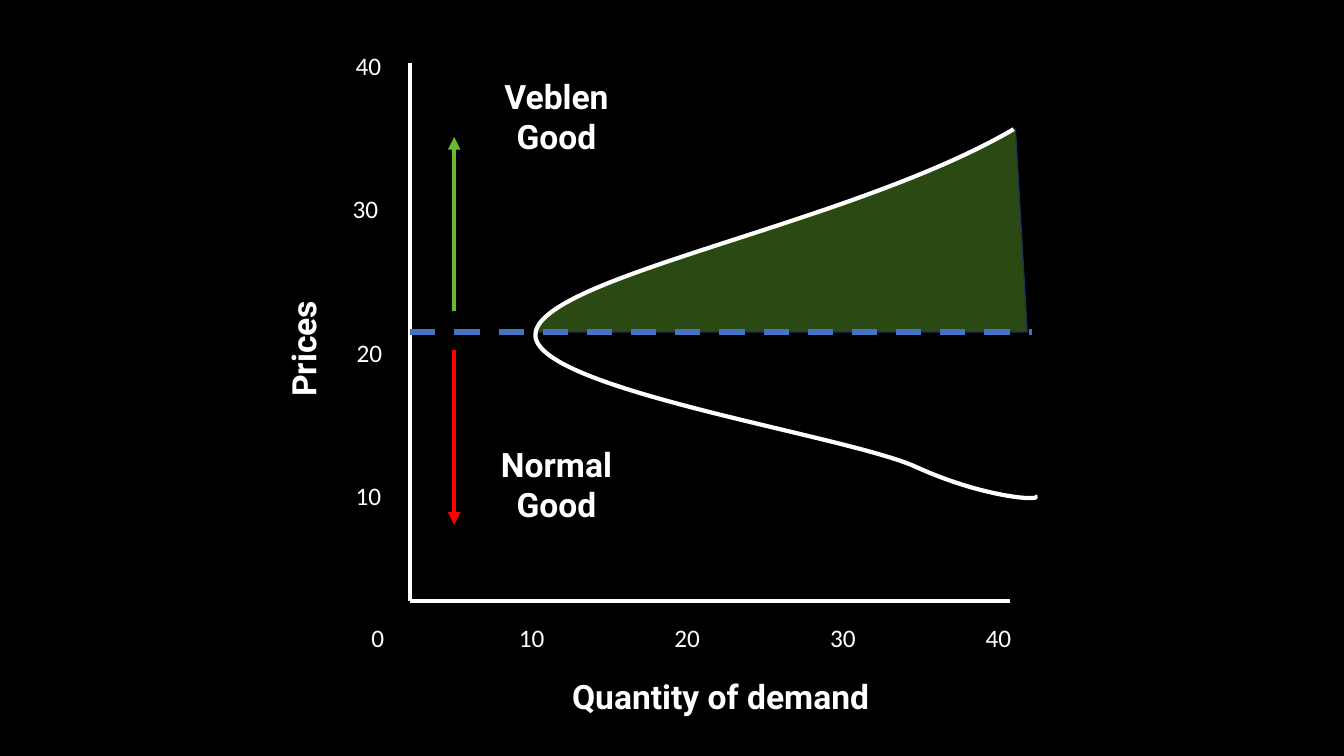
from math import cos, radians, sin

from lxml import etree
from pptx import Presentation
from pptx.dml.color import RGBColor
from pptx.enum.dml import MSO_LINE
from pptx.enum.shapes import MSO_CONNECTOR
from pptx.enum.text import MSO_AUTO_SIZE, PP_ALIGN
from pptx.oxml.ns import qn
from pptx.util import Pt

STRAIGHT = MSO_CONNECTOR.STRAIGHT
DASH = MSO_LINE.DASH
CENTER, LEFT = PP_ALIGN.CENTER, PP_ALIGN.LEFT
GROW = MSO_AUTO_SIZE.SHAPE_TO_FIT_TEXT

BLACK = RGBColor(0x00, 0x00, 0x00)
WHITE = RGBColor(0xFF, 0xFF, 0xFF)
GREEN = RGBColor(0x6C, 0xB9, 0x30)
RED = RGBColor(0xFF, 0x00, 0x00)
BLUE = RGBColor(0x44, 0x72, 0xC4)
NAVY = RGBColor(0x1E, 0x32, 0x56)

AXIS_X, AXIS_TOP, AXIS_BOTTOM, AXIS_RIGHT = 293, 45, 429.1, 721.4
TURN_PRICE_Y = 237.1
ARROW_X = 324.4
CURVE_CENTER, CURVE_TILT = (576.4, 200.9), 8.6

# Each segment is one point for a straight edge or three for a Bezier curve.
AREA_START = (725.3, 92.2)
AREA_SEGMENTS = [
    [(733.7, TURN_PRICE_Y)],
    [(383.8, TURN_PRICE_Y)],
    [(383.8, 236.2)],
    [(395.3, 195.8), (610.6, 159.1), AREA_START],
]
CURVE_START = (724.3, 92.2)
CURVE_SEGMENTS = [
    [(609.8, 159.1), (394.6, 195.8), (383, 236.2)],
    [(371.5, 276.5), (604.1, 310.3), (654.5, 333.4)],
    [(704.9, 356.4), (746.6, 357.8), (739.4, 354.2)],
]


def untilt(point):
    """Turn a point back by the tilt of the demand curve."""
    (center_x, center_y), angle = CURVE_CENTER, radians(CURVE_TILT)
    dx, dy = point[0] - center_x, point[1] - center_y
    return (center_x + dx * cos(angle) + dy * sin(angle),
            center_y - dx * sin(angle) + dy * cos(angle))


def add_outline(slide, start, segments, line_color, line_width, close=False):
    builder = slide.shapes.build_freeform(Pt(start[0]), Pt(start[1]))
    builder.add_line_segments([(Pt(x), Pt(y)) for x, y in (s[-1] for s in segments)],
                              close=close)
    outline = builder.convert_to_shape()
    edges = list(outline._element.iter(qn("a:lnTo")))
    for edge, segment in zip(edges, segments):
        if len(segment) == 3:
            edge.addprevious(bezier_edge(segment, outline))
            edge.getparent().remove(edge)
    outline.shadow.inherit = False
    outline.fill.background()
    outline.line.color.rgb = line_color
    outline.line.width = Pt(line_width)
    return outline


def bezier_edge(controls, outline):
    edge = etree.Element(qn("a:cubicBezTo"))
    for x, y in controls:
        point = etree.SubElement(edge, qn("a:pt"))
        point.set("x", str(Pt(x) - outline.left))
        point.set("y", str(Pt(y) - outline.top))
    return edge


def fill_translucent(shape, color, percent):
    shape.fill.solid()
    shape.fill.fore_color.rgb = color
    solid = shape._element.spPr.find(qn("a:solidFill"))
    alpha = etree.SubElement(solid[0], qn("a:alpha"))
    alpha.set("val", str(percent * 1000))


def add_line(slide, start, end, color, width=3, dash=None, arrow=False):
    line = slide.shapes.add_connector(STRAIGHT, *map(Pt, start + end))
    line.line.color.rgb = color
    line.line.width = Pt(width)
    if dash:
        line.line.dash_style = dash
    properties = line._element.spPr
    if arrow:
        head = etree.SubElement(properties.find(qn("a:ln")), qn("a:tailEnd"))
        head.set("type", "triangle")
    etree.SubElement(properties, qn("a:effectLst"))


def add_label(slide, text, left, top, width, height, size=24, font="Roboto",
              bold=True, wrap=True, align=CENTER, rotation=0):
    label = slide.shapes.add_textbox(*map(Pt, (left, top, width, height)))
    label.rotation = rotation
    frame = label.text_frame
    frame.word_wrap = wrap
    frame.auto_size = GROW
    frame.text = text
    paragraph = frame.paragraphs[0]
    paragraph.alignment = align
    run_font = paragraph.runs[0].font
    run_font.name = font
    run_font.size = Pt(size)
    run_font.bold = bold
    run_font.color.rgb = WHITE


def add_tick(slide, value, left, top, width=40.3):
    add_label(slide, str(value), left, top, width, 35.3, size=18,
              font="Calibri", bold=False, wrap=False, align=LEFT)


def main():
    deck = Presentation()
    deck.slide_width, deck.slide_height = Pt(960), Pt(540)
    slide = deck.slides.add_slide(deck.slide_layouts[6])
    slide.background.fill.solid()
    slide.background.fill.fore_color.rgb = BLACK

    veblen_area = add_outline(slide, AREA_START, AREA_SEGMENTS, NAVY, 1, close=True)
    fill_translucent(veblen_area, GREEN, 40)

    add_line(slide, (AXIS_X, AXIS_TOP), (AXIS_X, AXIS_BOTTOM), WHITE)
    add_line(slide, (AXIS_X, AXIS_BOTTOM), (AXIS_RIGHT, AXIS_BOTTOM), WHITE)
    level_segments = [[untilt(point) for point in segment] for segment in CURVE_SEGMENTS]
    demand_curve = add_outline(slide, untilt(CURVE_START), level_segments, WHITE, 3)
    demand_curve.rotation = CURVE_TILT

    add_tick(slide, 0, 258.2, 441, width=28.8)
    for index in range(4):
        add_tick(slide, (index + 1) * 10, 363.6 + index * 111.1, 441)
    add_tick(slide, 10, 247, 339.4)
    add_line(slide, (AXIS_X, TURN_PRICE_Y), (737.3, TURN_PRICE_Y), BLUE, 4.5, dash=DASH)
    for index, left in enumerate((247.7, 244.8, 247)):
        add_tick(slide, (index + 2) * 10, left, 237.1 - index * 102.3)

    add_line(slide, (ARROW_X, 222.3), (ARROW_X, 97.9), GREEN, arrow=True)
    add_line(slide, (ARROW_X, 250.3), (ARROW_X, 374.8), RED, arrow=True)

    add_label(slide, "Veblen Good", ARROW_X, 50.4, 146.2, 79.9)
    add_label(slide, "Normal Good", ARROW_X, 313.2, 146.2, 79.9)
    add_label(slide, "Prices", 147.6, 226.8, 146.2, 44.6, rotation=270)
    add_label(slide, "Quantity of demand", 343.4, 479.5, 342.7, 44.6)

    deck.save("out.pptx")


if __name__ == "__main__":
    main()
